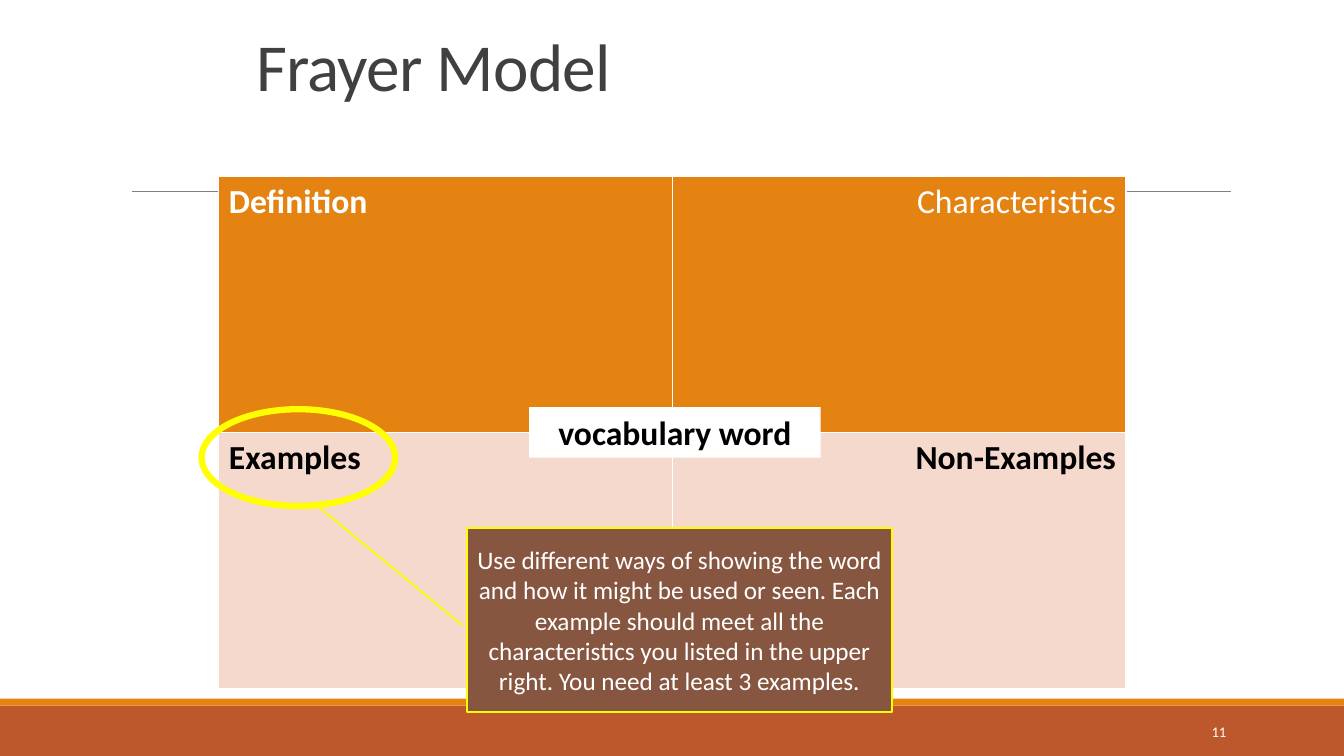
from lxml import etree
from pptx import Presentation
from pptx.dml.color import RGBColor
from pptx.enum.shapes import MSO_CONNECTOR as Connector, MSO_SHAPE as Shape
from pptx.enum.text import MSO_ANCHOR as Anchor, MSO_AUTO_SIZE as AutoSize, PP_ALIGN as Align
from pptx.oxml.ns import qn
from pptx.util import Inches, Pt

WIDTH, HEIGHT = Inches(13.33), Inches(7.5)
COLORS = {
    "orange": "E48312", "rust": "BD582C", "pink": "F5D9CC", "brown": "865640",
    "yellow": "FFFF00", "white": "FFFFFF", "black": "000000",
    "title": "404040", "rule": "808080",
}


def color(name):
    return RGBColor.from_string(COLORS[name])


def area(left, top, width, height):
    """Turn percentages of the slide into left, top, width and height."""
    return [round(share * side / 100) for share, side in
            zip((left, top, width, height), (WIDTH, HEIGHT) * 2)]


def write(frame, text, size, ink, align=Align.LEFT, bold=False, anchor=Anchor.MIDDLE):
    for name, value in {"word_wrap": True, "vertical_anchor": anchor}.items():
        setattr(frame, name, value)
    para = frame.paragraphs[0]
    para.alignment = align
    span = para.add_run()
    span.text = text
    for name, value in {"name": "Calibri", "size": Pt(size), "bold": bold}.items():
        setattr(span.font, name, value)
    span.font.color.rgb = color(ink)
    return span


def add_box(page, kind, place, fill=None, line=None, weight=1.0):
    box = page.shapes.add_shape(kind, *area(*place))
    box.shadow.inherit = False
    if fill:
        box.fill.solid()
        box.fill.fore_color.rgb = color(fill)
    else:
        box.fill.background()
    if line:
        box.line.color.rgb = color(line)
        box.line.width = Pt(weight)
    else:
        box.line.fill.background()
    return box


def add_rule(page, left, right, top):
    x, y, length, _ = area(left, top, right - left, 0)
    rule = page.shapes.add_connector(Connector.STRAIGHT, x, y, x + length, y)
    rule.line.color.rgb = color("rule")
    rule.line.width = Pt(0.5)
    etree.SubElement(rule._element.spPr, qn("a:effectLst"))


def add_title(page, text, place):
    title = page.shapes.title
    for name, value in zip(("left", "top", "width", "height"), area(*place)):
        setattr(title, name, value)
    title.text_frame.auto_size = AutoSize.NONE
    span = write(title.text_frame, text, 48, "title", anchor=Anchor.BOTTOM)
    title.text_frame.paragraphs[0].line_spacing = 0.85
    span._r.get_or_add_rPr().set("spc", "-50")


def border_cell(cell):
    properties = cell._tc.get_or_add_tcPr()
    for index, side in enumerate(("lnL", "lnR", "lnT", "lnB")):
        line = etree.Element(qn(f"a:{side}"), w=str(Pt(1)))
        fill = etree.SubElement(line, qn("a:solidFill"))
        etree.SubElement(fill, qn("a:srgbClr"), val=COLORS["white"])
        properties.insert(index, line)


def add_quadrants(page, rows, place):
    table = page.shapes.add_table(2, 2, *area(*place)).table
    for row, (fill, ink, labels) in enumerate(rows):
        for column, (label, bold) in enumerate(labels):
            cell = table.cell(row, column)
            cell.fill.solid()
            cell.fill.fore_color.rgb = color(fill)
            border_cell(cell)
            align = Align.RIGHT if column else Align.LEFT
            write(cell.text_frame, label, 24, ink, align, bold, Anchor.TOP)
            cell.vertical_anchor = Anchor.TOP


def main():
    deck = Presentation()
    deck.slide_width, deck.slide_height = WIDTH, HEIGHT
    page = deck.slides.add_slide(deck.slide_layouts[5])

    # Footer bands, rule and title
    add_box(page, Shape.RECTANGLE, (0, 93.33, 100, 6.67), "rust")
    add_box(page, Shape.RECTANGLE, (0, 92.4, 100, 0.93), "orange")
    add_rule(page, 9.83, 91.6, 25.33)
    add_title(page, "Frayer Model", (18.3, 3.87, 63.77, 10.67))

    # Four quadrants
    add_quadrants(page, [
        ("orange", "white", [("Definition", True), ("Characteristics", False)]),
        ("pink", "black", [("Examples", True), ("Non-Examples", True)]),
    ], (16.28, 23.33, 67.5, 67.73))

    # Page number
    number = page.shapes.add_textbox(*area(81.25, 94.13, 10.73, 5.33))
    write(number.text_frame, "11", 10.5, "white", Align.RIGHT)

    # Callout and the ring it points to
    callout = add_box(page, Shape.LINE_CALLOUT_1, (34.73, 69.87, 31.66, 24.27),
                      "brown", "yellow", 1.25)
    for index, value in enumerate((0.53, -0.01, -0.12, -0.35)):
        callout.adjustments[index] = value
    write(callout.text_frame,
          "Use different ways of showing the word and how it might be used or seen. "
          "Each example should meet all the characteristics you listed in the upper "
          "right. You need at least 3 examples.", 18, "white", Align.CENTER)
    add_box(page, Shape.OVAL, (15, 54.13, 14.4, 12.8), line="yellow", weight=4.5)

    # Central word
    word = add_box(page, Shape.RECTANGLE, (39.38, 53.87, 21.68, 6.67), "white")
    write(word.text_frame, "vocabulary word", 24, "black", Align.CENTER, True, Anchor.TOP)

    deck.save("out.pptx")


if __name__ == "__main__":
    main()
